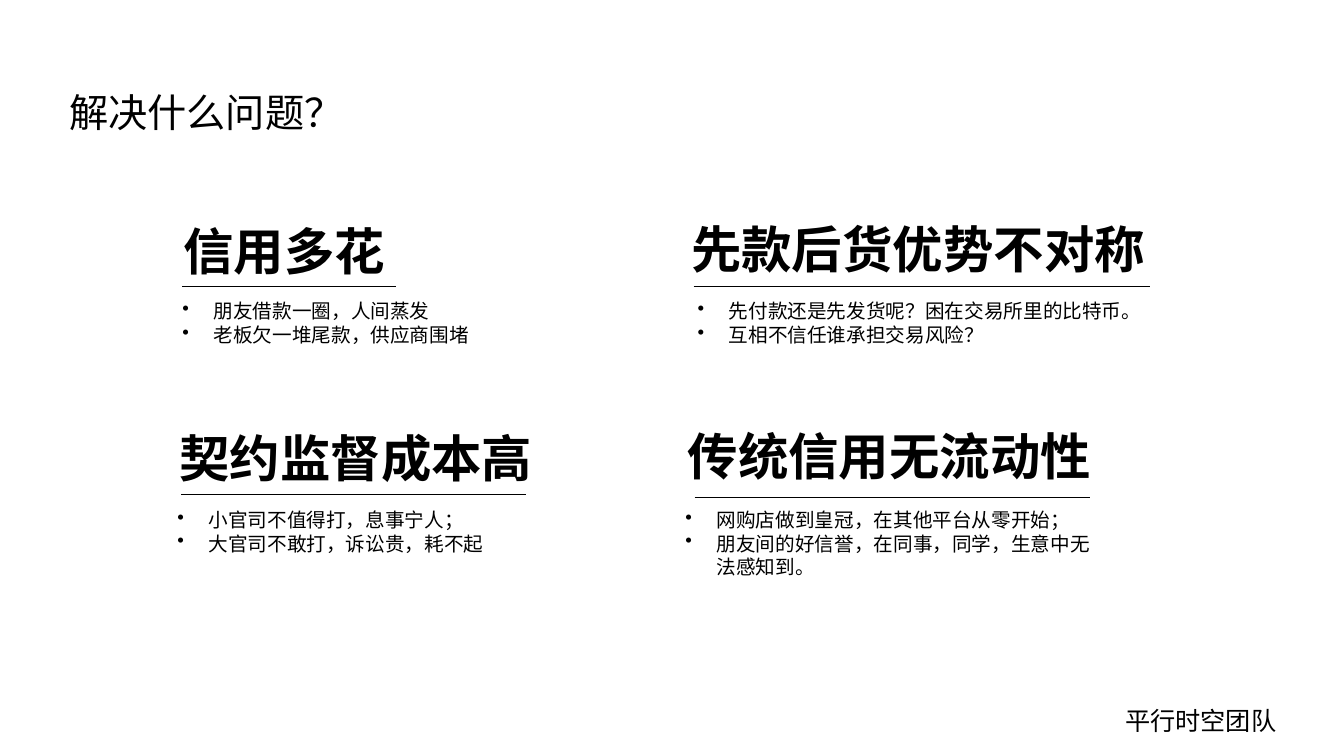
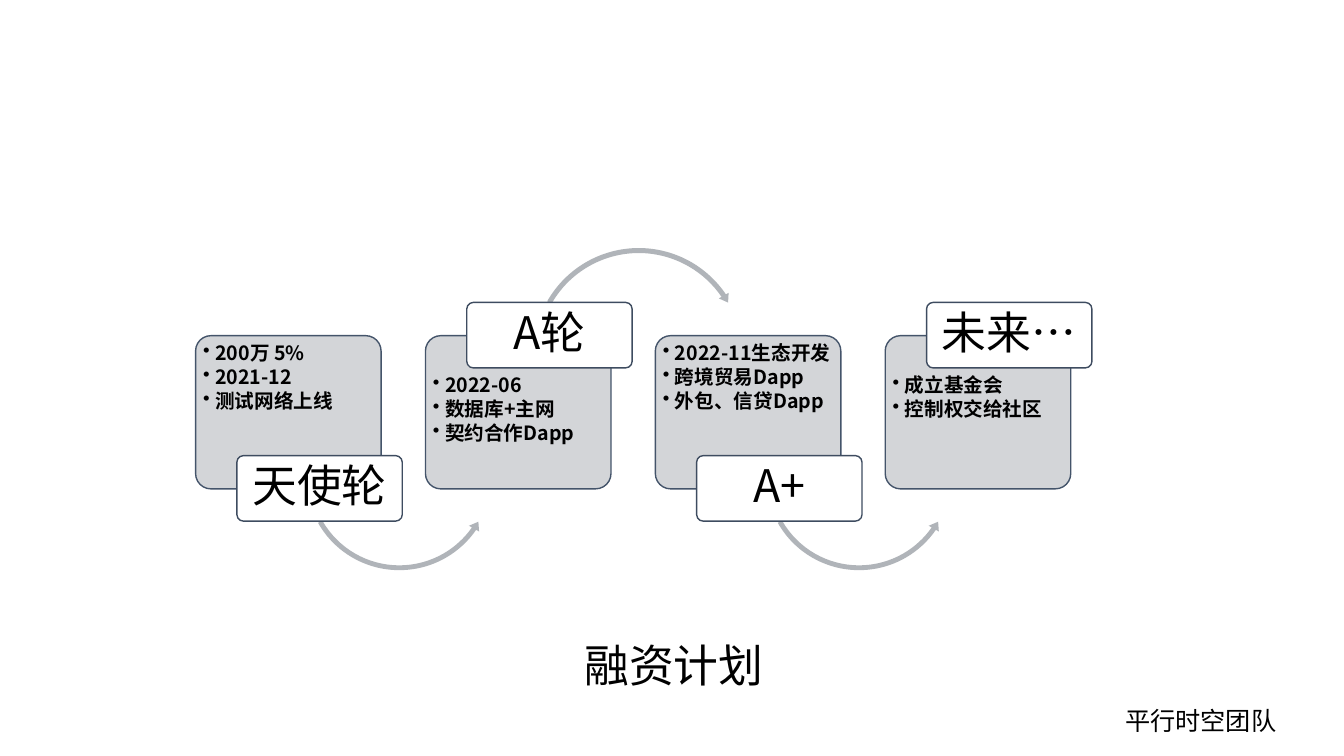
from lxml import etree
from pptx import Presentation
from pptx import util as u
from pptx.dml.color import RGBColor
from pptx.enum import shapes, text
from pptx.oxml import ns

Inches, Pt = u.Inches, u.Pt
BLACK = RGBColor(0x00, 0x00, 0x00)
WHITE = RGBColor(0xFF, 0xFF, 0xFF)
CARD = RGBColor(0xCF, 0xD1, 0xD4)
CARD_LINE = RGBColor(0x44, 0x54, 0x6A)
LABEL_LINE = RGBColor(0x3E, 0x4C, 0x60)
ARROW = RGBColor(0xB0, 0xB4, 0xB9)
SANS, SANS_JP, TITLE = "Noto Sans CJK SC", "Noto Sans CJK JP", "Montserrat"
MIDDLE, TOP = text.MSO_ANCHOR.MIDDLE, text.MSO_ANCHOR.TOP
LEFT, CENTER = text.PP_ALIGN.LEFT, text.PP_ALIGN.CENTER


def write(sp, lines, size, face=SANS, bold=False, indent=0, frame=None, para=None):
    """Fill a shape with paragraphs; indent (inches) turns on hanging bullets."""
    tf = sp.text_frame
    for name, value in {"word_wrap": True, "vertical_anchor": TOP, **(frame or {})}.items():
        setattr(tf, name, value)
    for i, line in enumerate(lines):
        p = tf.paragraphs[0] if i == 0 else tf.add_paragraph()
        if indent:
            pPr = p._p.get_or_add_pPr()
            pPr.set("marL", str(Inches(indent)))
            pPr.set("indent", str(-Inches(indent)))
            etree.SubElement(pPr, ns.qn("a:buChar")).set("char", "•")
        for name, value in {"alignment": LEFT, **(para or {})}.items():
            setattr(p, name, value)
        r = p.add_run()
        r.text = line
        for name, value in {"size": Pt(size), "name": face, "bold": bold}.items():
            setattr(r.font, name, value)
        r.font.color.rgb = BLACK
        ea = etree.Element(ns.qn("a:ea"), typeface=face)
        r.font._rPr.find(ns.qn("a:latin")).addnext(ea)


def shape(s, kind, box, fill, line=None, adj=()):
    sp = s.shapes.add_shape(kind, *map(Inches, box))
    sp.shadow.inherit = False
    sp.fill.solid()
    sp.fill.fore_color.rgb = fill
    if line is None:
        sp.line.fill.background()
    else:
        sp.line.color.rgb = line
        sp.line.width = Pt(1)
    for i, value in enumerate(adj):
        sp.adjustments[i] = value
    return sp


prs = Presentation()
prs.slide_width, prs.slide_height = Inches(13.33), Inches(7.5)

# Shared footer and slide titles
titles = [
    ("解决什么问题？", (0.59, 0.41, 11.5, 1.45), 28, TITLE, LEFT),
    ("融资计划", (5.06, 6.21, 3.25, 0.84), 32, SANS, CENTER),
]
for title, box, size, face, align in titles:
    s = prs.slides.add_slide(prs.slide_layouts[6])
    sp = s.shapes.add_textbox(*map(Inches, (10.86, 6.65, 2.1, 1)))
    write(sp, ["平行时空团队"], 18, SANS_JP, frame={"vertical_anchor": MIDDLE},
          para={"alignment": CENTER})
    sp = s.shapes.add_textbox(*map(Inches, box))
    write(sp, [title], size, face, frame={"vertical_anchor": MIDDLE},
          para={"alignment": align, "line_spacing": 0.9})
problem_slide, funding_slide = prs.slides

# Problems: heading, (left, top, width), rule (from, to, y), bullets, (left, top, width)
problems = [
    ("信用多花", (1.71, 2.13, 2.22), (1.81, 3.93, 2.84),
     ["朋友借款一圈，人间蒸发", "老板欠一堆尾款，供应商围堵"], (1.71, 2.92, 4.17)),
    ("先款后货优势不对称", (6.56, 2.11, 5.09), (6.88, 11.41, 2.84),
     ["先付款还是先发货呢？困在交易所里的比特币。", "互相不信任谁承担交易风险？"],
     (6.82, 2.92, 4.59)),
    ("契约监督成本高", (1.66, 4.19, 3.74), (1.8, 5.22, 4.9),
     ["小官司不值得打，息事宁人；", "大官司不敢打，诉讼贵，耗不起"], (1.66, 4.99, 3.41)),
    ("传统信用无流动性", (6.7, 4.17, 4.24), (6.89, 10.81, 4.93),
     ["网购店做到皇冠，在其他平台从零开始；",
      "朋友间的好信誉，在同事，同学，生意中无法感知到。"], (6.7, 4.99, 4.24)),
]
for heading, head_box, (x1, x2, y), bullets, body_box in problems:
    sp = problem_slide.shapes.add_textbox(*map(Inches, (*head_box, 0.71)))
    write(sp, [heading], 36, bold=True, frame={"word_wrap": False},
          para={"alignment": CENTER})
    rule = problem_slide.shapes.add_connector(
        shapes.MSO_CONNECTOR.STRAIGHT, *map(Inches, (x1, y, x2, y)))
    rule.line.color.rgb = BLACK
    rule.line.width = Pt(0.5)
    etree.SubElement(rule._element.spPr, ns.qn("a:effectLst"))
    sp = problem_slide.shapes.add_textbox(*map(Inches, (*body_box, 0.57)))
    write(sp, bullets, 14, indent=0.31)

# Funding rounds: labels alternate below and above their cards
rounds = [
    ("天使轮", ["200万 5%", "2021-12", "测试网络上线"]),
    ("A轮", ["2022-06", "数据库+主网", "契约合作Dapp"]),
    ("A+", ["2022-11生态开发", "跨境贸易Dapp", "外包、信贷Dapp"]),
    ("未来…", ["成立基金会", "控制权交给社区"]),
]
KIND = shapes.MSO_SHAPE
for i, (label, bullets) in enumerate(rounds):
    x = 1.94 + 2.28 * i
    above = i % 2 == 1
    sp = shape(funding_slide, KIND.ROUNDED_RECTANGLE, (x, 3.33, 1.84, 1.52),
               CARD, CARD_LINE, [0.1])
    color = sp._element.spPr.find(ns.qn("a:solidFill"))[0]
    etree.SubElement(color, ns.qn("a:alpha")).set("val", "90000")
    write(sp, bullets, 14, bold=True, indent=0.12,
          frame={"margin_left": Inches(0.03), "margin_right": 0,
                 "margin_top": Inches(0.35 if above else 0.03), "margin_bottom": 0},
          para={"line_spacing": 0.9, "space_after": Pt(2)})

    # Arrow to the next round
    if i < len(rounds) - 1:
        if above:
            shape(funding_slide, KIND.CIRCULAR_ARROW, (x + 1.04, 2.43, 2.15, 2.15),
                  ARROW, adj=[0.023, 2.74, 195.51, 125.76, 0.026])
        else:
            shape(funding_slide, KIND.LEFT_CIRCULAR_ARROW, (x + 1.06, 3.77, 1.92, 1.92),
                  ARROW, adj=[0.025, 3.09, 20.85, 90.25, 0.03])

    sp = shape(funding_slide, KIND.ROUNDED_RECTANGLE,
               (x + 0.41, 3 if above else 4.52, 1.64, 0.65), WHITE, LABEL_LINE, [0.1])
    write(sp, [label], 32,
          frame={"vertical_anchor": MIDDLE, "margin_left": Inches(0.07),
                 "margin_right": Inches(0.07), "margin_top": Inches(0.04),
                 "margin_bottom": Inches(0.04)},
          para={"alignment": CENTER, "line_spacing": 0.9, "space_after": Pt(11)})

prs.save("out.pptx")
